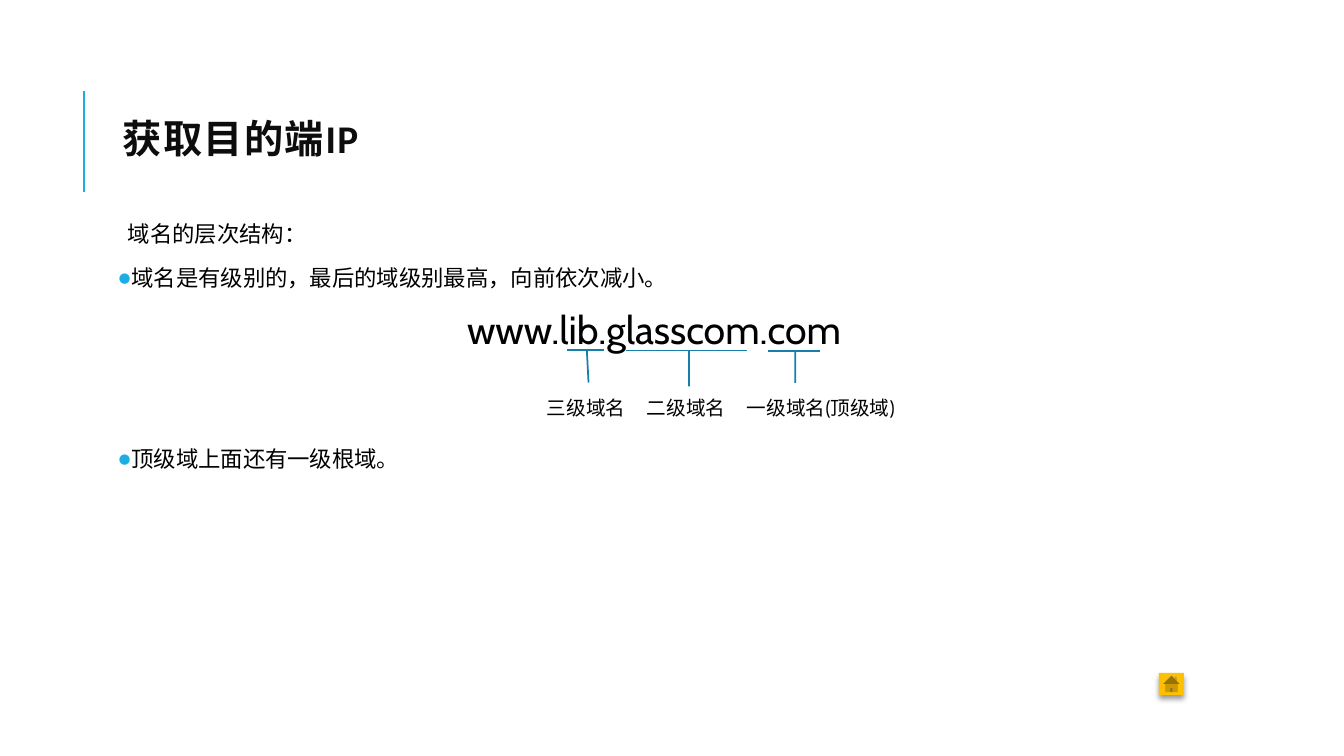
from lxml import etree
from pptx import Presentation
from pptx.dml.color import RGBColor
from pptx.enum.shapes import MSO_CONNECTOR, MSO_SHAPE
from pptx.enum.text import MSO_ANCHOR, MSO_AUTO_SIZE, PP_ALIGN
from pptx.oxml.ns import qn
from pptx.util import Emu, Pt

STRAIGHT = MSO_CONNECTOR.STRAIGHT
CALLOUT = MSO_SHAPE.LINE_CALLOUT_1_ACCENT_BAR
HOME = MSO_SHAPE.ACTION_BUTTON_HOME
LEFT, CENTER = PP_ALIGN.LEFT, PP_ALIGN.CENTER
TOP, MIDDLE = MSO_ANCHOR.TOP, MSO_ANCHOR.MIDDLE
FIT_SHAPE = MSO_AUTO_SIZE.SHAPE_TO_FIT_TEXT

PX = 9071  # EMU in one px
COLORS = {"accent": "1CADE4", "callout": "1580A9", "title": "0D0D0D",
          "text": "000000", "button": "FFC000"}

# Content
TITLE = "获取目的端IP"
# text, bullet, size, alignment, space before
BODY = [
    ("域名的层次结构：", " ", 16, LEFT, 12),
    ("域名是有级别的，最后的域级别最高，向前依次减小。", "●", 16, LEFT, 12),
    ("www.lib.glasscom.com", " ", 28, CENTER, 12),
    ("顶级域上面还有一级根域。", "●", 16, LEFT, 66),
]
# label, label width, callout box before rotation, callout adjustments
LEVELS = [
    ("三级域名", 100, (563, 307, 46, 37), (0.525, -0.04, 0.57, -0.74)),
    ("二级域名", 100, (674, 277, 24, 121), (0.525, -0.04, 0.524, -1.54)),
    ("一级域名(顶级域)", 186, (771, 300, 46, 52), (0.525, -0.04, 0.523, -0.735)),
]
LABEL_LEFT, LABEL_TOP, LABEL_HEIGHT = 537, 391, 34
TITLE_BOX = (113, 89, 1072, 106)
BODY_BOX = (113, 218, 1072, 502)
HOME_BOX = (1159, 673, 25, 22)
TITLE_BAR = (84, 192, 84, 91)


def px(*lengths):
    return [Emu(length * PX) for length in lengths]


def color(name):
    return RGBColor.from_string(COLORS[name])


def add_box(page, place, anchor=TOP):
    box = page.shapes.add_textbox(*px(*place))
    box.text_frame.word_wrap = True
    box.text_frame.vertical_anchor = anchor
    return box


def add_span(para, text, size, font="Cabin", shade="text", bold=False):
    span = para.add_run()
    span.text = text
    span.font.size = Pt(size)
    span.font.name = font
    span.font.bold = bold
    span.font.color.rgb = color(shade)
    return span


def add_bullet(para, mark):
    props = para._p.get_or_add_pPr()
    props.set("marL", str(10 * PX))
    props.set("indent", str(-10 * PX))
    bullet_color = etree.SubElement(props, qn("a:buClr"))
    etree.SubElement(bullet_color, qn("a:srgbClr"), val=COLORS["accent"])
    etree.SubElement(props, qn("a:buFont"), typeface="Calibri")
    etree.SubElement(props, qn("a:buChar"), char=mark)


def add_title(page):
    bar = page.shapes.add_connector(STRAIGHT, *px(*TITLE_BAR))
    bar.line.color.rgb = color("accent")
    bar.line.width = Pt(1.5)
    etree.SubElement(bar._element.spPr, qn("a:effectLst"))
    para = add_box(page, TITLE_BOX, MIDDLE).text_frame.paragraphs[0]
    para.line_spacing = 0.8
    span = add_span(para, TITLE, 28, "Calibri", "title", True)
    span.font._element.set("spc", "100")


def add_body(page):
    frame = add_box(page, BODY_BOX).text_frame
    frame.margin_left, frame.margin_right = px(5, 5)
    for index, (text, mark, size, align, before) in enumerate(BODY):
        para = frame.add_paragraph() if index else frame.paragraphs[0]
        para.alignment = align
        para.line_spacing = 0.9
        para.space_before = Pt(before)
        para.space_after = Pt(2)
        add_bullet(para, mark)
        add_span(para, text, size)


def add_levels(page):
    left = LABEL_LEFT
    for label, width, place, adjustments in LEVELS:
        callout = page.shapes.add_shape(CALLOUT, *px(*place))
        callout.rotation = 270
        for index, value in enumerate(adjustments):
            callout.adjustments[index] = value
        callout.shadow.inherit = False
        callout.fill.background()
        callout.line.color.rgb = color("callout")
        callout.line.width = Pt(1.25)

        box = add_box(page, (left, LABEL_TOP, width, LABEL_HEIGHT))
        box.text_frame.auto_size = FIT_SHAPE
        add_span(box.text_frame.paragraphs[0], label, 14)
        left += width


def add_home_button(page):
    button = page.shapes.add_shape(HOME, *px(*HOME_BOX))
    button.fill.solid()
    button.fill.fore_color.rgb = color("button")
    button.line.fill.background()
    button.shadow.inherit = False
    effects = button._element.spPr.find(qn("a:effectLst"))
    shadow = etree.SubElement(effects, qn("a:outerShdw"), blurRad=str(Pt(4)),
                              dist=str(Pt(3)), dir="5400000", rotWithShape="0")
    shade = etree.SubElement(shadow, qn("a:srgbClr"), val=COLORS["text"])
    etree.SubElement(shade, qn("a:alpha"), val="40000")


def main():
    deck = Presentation()
    deck.slide_width, deck.slide_height = px(1344, 756)
    page = deck.slides.add_slide(deck.slide_layouts[6])
    add_title(page)
    add_body(page)
    add_home_button(page)
    add_levels(page)
    deck.save("out.pptx")


if __name__ == "__main__":
    main()
